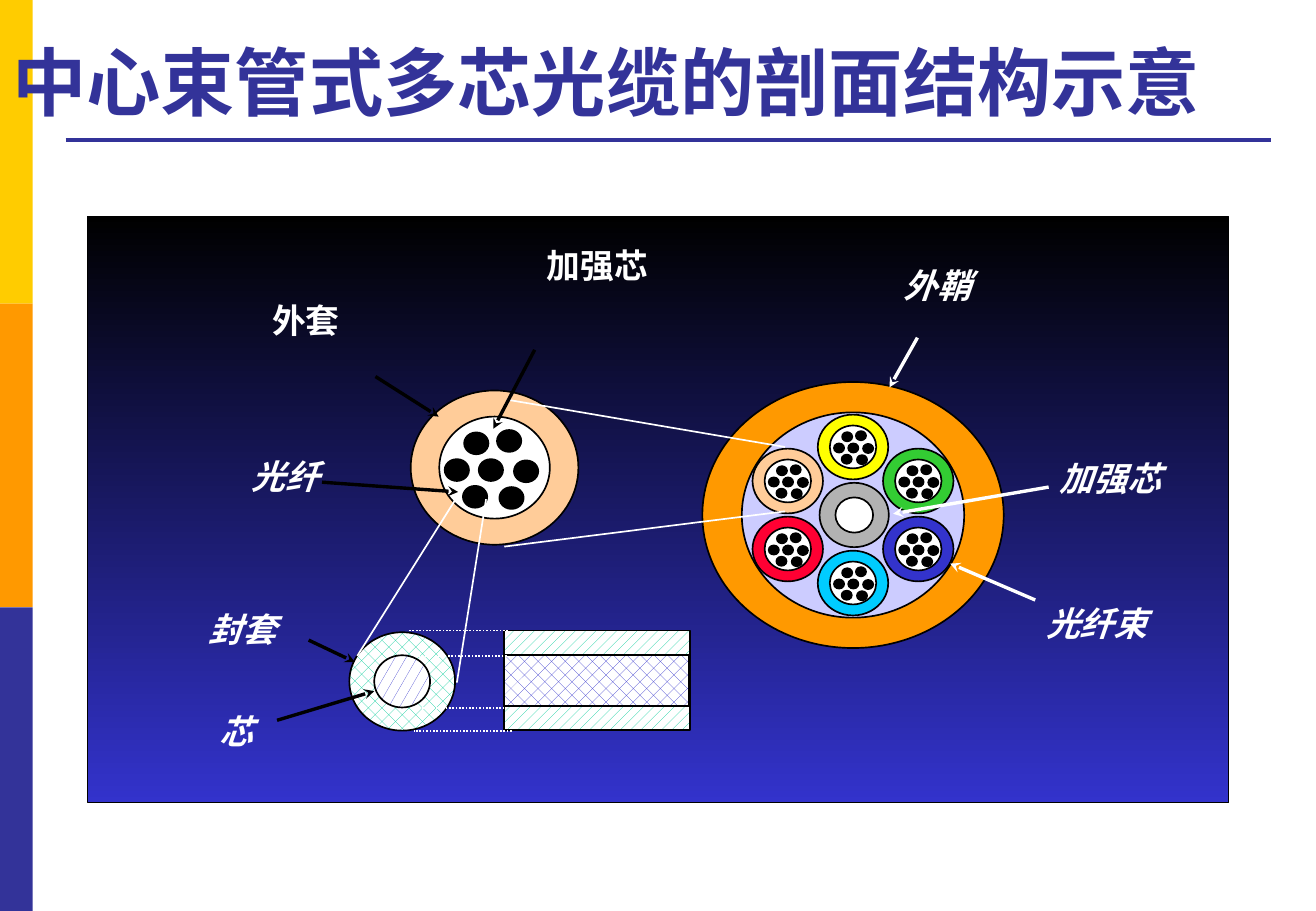
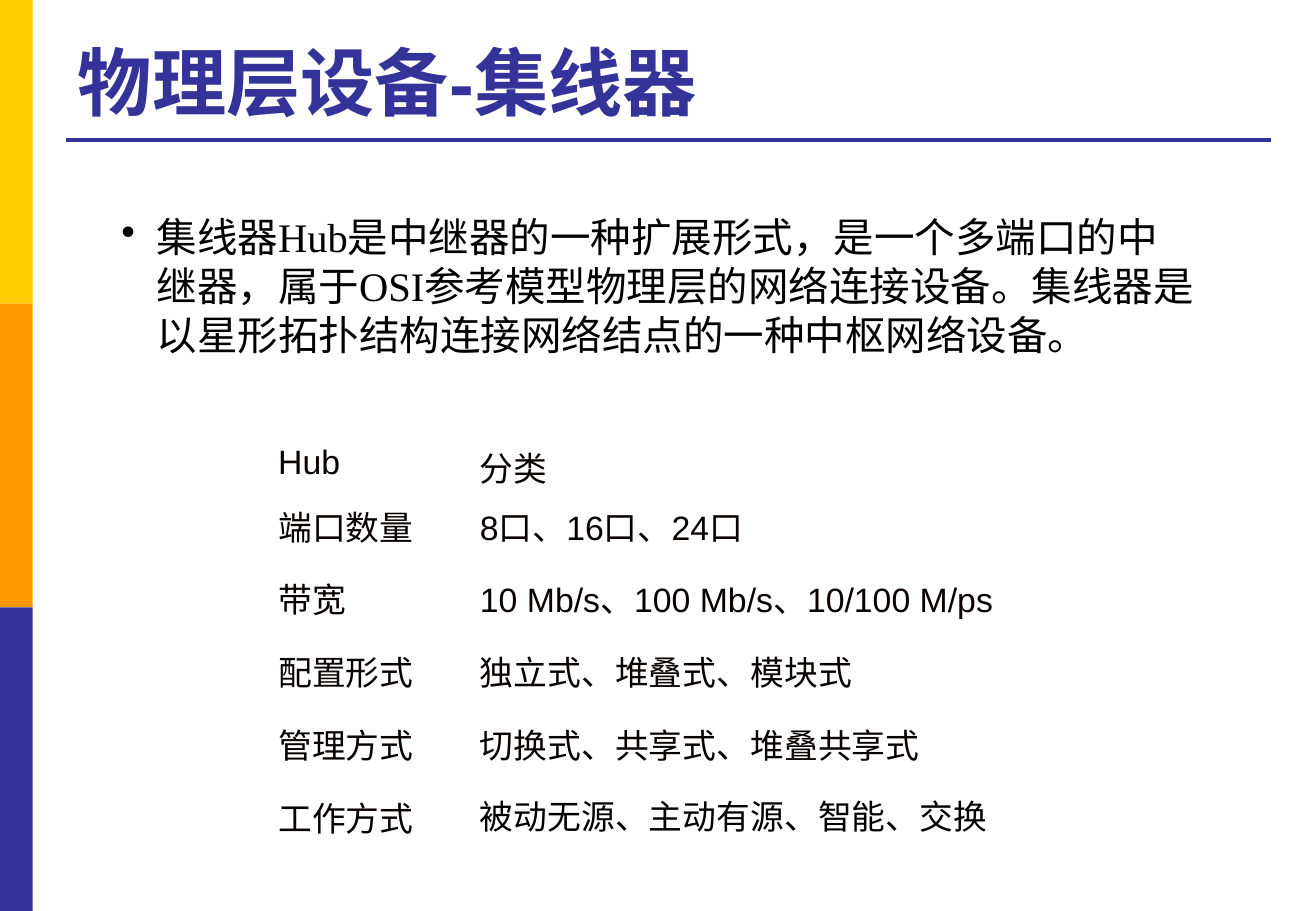
from dataclasses import dataclass
from math import cos, radians, sin
from typing import NamedTuple, Optional

from lxml.etree import SubElement as Sub
from pptx import Presentation
from pptx.dml.color import RGBColor as RGB
from pptx.enum.dml import MSO_LINE as Dash, MSO_PATTERN as Pat
from pptx.enum.shapes import MSO_CONNECTOR as Conn, MSO_SHAPE as Kind
from pptx.enum.text import MSO_ANCHOR as Anchor, MSO_AUTO_SIZE as Fit, PP_ALIGN as Align
from pptx.oxml.ns import qn
from pptx.util import Inches, Pt


@dataclass(frozen=True)
class Theme:
    yellow: str = "FFCC00"
    orange: str = "FF9900"
    navy: str = "333399"
    blue: str = "3333CC"
    green: str = "00CC99"
    peach: str = "FFCC99"
    lilac: str = "CCCCFF"
    gray: str = "B2B2B2"
    black: str = "000000"
    white: str = "FFFFFF"
    ink: str = "080001"
    sans: str = "Arial"
    serif: str = "Times New Roman"
    title: int = 44
    body: int = 24
    label: int = 20


T = Theme()


class Hatch(NamedTuple):
    kind: Pat
    color: str


class Label(NamedTuple):
    text: str
    x: float
    y: float
    slant: bool = True


class Line(NamedTuple):
    x1: float
    y1: float
    x2: float
    y2: float
    color: str = T.white
    width: float = 1
    head: bool = False
    dash: Optional[Dash] = None


@dataclass
class Bundle:
    """Seven fibres in a sheath, placed by its centre."""
    x: float
    y: float
    fill: str
    scale: float = 0.42
    skew: float = 0.015


FIBRES = [(-0.31, 0.02), (-0.03, 0.02), (0.26, 0.03), (-0.15, -0.2),
          (0.12, -0.22), (-0.16, 0.24), (0.14, 0.25)]
RING = [("FFFF00", -90), ("33CC33", -30), (T.blue, 30),
        ("00CCFF", 90), ("FF0033", 150), (T.peach, 210)]

LABELS = [
    Label("芯", 1.71, 5.8), Label("封套", 1.62, 4.96),
    Label("外套", 2.14, 2.42, False), Label("加强芯", 4.4, 1.97, False),
    Label("光纤", 1.97, 3.7), Label("外鞘", 7.34, 2.13),
    Label("加强芯", 8.62, 3.72), Label("光纤束", 8.51, 4.91),
]
# Arrows run from the tip to the label
ARROWS = [
    (3.08, 5.69, 2.28, 5.93, T.black), (2.92, 5.45, 2.54, 5.27, T.black),
    (3.77, 4.05, 2.65, 3.97, T.black), (3.61, 3.43, 3.09, 3.1, T.black),
    (4.06, 3.53, 4.4, 2.88, T.black), (7.82, 4.64, 8.52, 4.94, T.white),
    (7.35, 4.23, 8.63, 4.01, T.white), (7.32, 3.19, 7.55, 2.78, T.white),
]
DOTTED = [(4.18, 5.19, 3.37, 5.19), (4.21, 6.02, 3.41, 6.02),
          (4.17, 5.4, 3.44, 5.4), (4.15, 5.83, 3.42, 5.83)]
ZOOM = [(3.8, 4.03, 2.94, 5.4), (4, 4.11, 3.76, 5.62),
        (4.17, 3.29, 6.46, 3.68), (4.15, 4.5, 6.46, 4.21)]

HUB = ("集线器Hub是中继器的一种扩展形式，是一个多端口的中继器，"
       "属于OSI参考模型物理层的网络连接设备。"
       "集线器是以星形拓扑结构连接网络结点的一种中枢网络设备。")
ROWS = [
    ("Hub", "分类"),
    ("端口数量", "8口、16口、24口"),
    ("带宽", "10 Mb/s、100 Mb/s、10/100 M/ps"),
    ("配置形式", "独立式、堆叠式、模块式"),
    ("管理方式", "切换式、共享式、堆叠共享式"),
    ("工作方式", "被动无源、主动有源、智能、交换"),
]


# Helpers
def style(para, size: int, color: str, face: str = T.sans,
          bold: bool = False, slant: bool = False) -> None:
    for run in para.runs:
        font = run.font
        font.size, font.name = Pt(size), face
        font.bold, font.italic = bold, slant
        font.color.rgb = RGB.from_string(color)


def shape(page, kind: Kind, x: float, y: float, w: float, h: float,
          fill, edge: Optional[float] = 1):
    item = page.shapes.add_shape(kind, Inches(x), Inches(y), Inches(w), Inches(h))
    item.shadow.inherit = False
    if isinstance(fill, Hatch):
        item.fill.patterned()
        item.fill.pattern = fill.kind
        item.fill.fore_color.rgb = RGB.from_string(fill.color)
        item.fill.back_color.rgb = RGB.from_string(T.white)
    else:
        item.fill.solid()
        item.fill.fore_color.rgb = RGB.from_string(fill)
    if edge is None:
        item.line.fill.background()
    else:
        item.line.color.rgb = RGB.from_string(T.black)
        item.line.width = Pt(edge)
    return item


def oval(page, x: float, y: float, w: float, h: float, fill):
    """Ellipse placed by its centre."""
    return shape(page, Kind.OVAL, x - w / 2, y - h / 2, w, h, fill)


def draw(page, spec: Line):
    item = page.shapes.add_connector(
        Conn.STRAIGHT, Inches(spec.x1), Inches(spec.y1), Inches(spec.x2), Inches(spec.y2))
    item.line.color.rgb = RGB.from_string(spec.color)
    item.line.width = Pt(spec.width)
    if spec.dash:
        item.line.dash_style = spec.dash
    props = item.element.spPr
    if spec.head:
        Sub(props.find(qn("a:ln")), qn("a:headEnd"), type="stealth")
    Sub(props, qn("a:effectLst"))
    return item


def textbox(page, x: float, y: float, w: float, h: float, text: str):
    frame = page.shapes.add_textbox(Inches(x), Inches(y), Inches(w), Inches(h)).text_frame
    frame.word_wrap = True
    frame.text = text
    return frame.paragraphs[0]


def bundle(page, spec: Bundle) -> None:
    k = spec.scale
    for w, h, fill in ((1.38, 1.27, spec.fill), (0.91, 0.84, T.white)):
        oval(page, spec.x, spec.y, w * k, h * k, fill)
    for dx, dy in FIBRES:
        oval(page, spec.x + spec.skew + dx * k, spec.y + dy * k, 0.2 * k, 0.18 * k, T.black)


# Shared parts
def frame_up(page, layout) -> None:
    """Draw the side bands and title rule, then hand them to the layout."""
    for item in list(layout.placeholders)[1:]:
        layout.shapes.element.remove(item.element)
    parts = [shape(page, Kind.RECTANGLE, 0, 2.5 * i, 0.27, 2.5, color, None)
             for i, color in enumerate((T.yellow, T.orange, T.navy))]
    parts.append(draw(page, Line(0.54, 1.15, 10.46, 1.15, T.navy, 2.25)))
    for part in parts:
        layout.shapes.element.append(part.element)


def head(page, text: str, left: float) -> None:
    item = page.shapes.title
    item.left, item.top = Inches(left), Inches(0.21)
    item.width, item.height = Inches(10.46 - left), Inches(0.87)
    frame = item.text_frame
    frame.text = text
    frame.auto_size = Fit.NONE
    frame.vertical_anchor = Anchor.BOTTOM
    frame.paragraphs[0].alignment = Align.LEFT
    style(frame.paragraphs[0], T.title, T.navy, bold=True)


# Slide 1: cable section
def cable(page) -> None:
    head(page, "中心束管式多芯光缆的剖面结构示意", 0)
    panel = shape(page, Kind.RECTANGLE, 0.72, 1.78, 9.39, 4.83, T.black, 0.75)
    panel.fill.gradient()
    panel.fill.gradient_angle = 270
    for stop, color, place in zip(panel.fill.gradient_stops, (T.black, T.blue), (0, 1)):
        stop.color.rgb = RGB.from_string(color)
        stop.position = place

    # Single fibre, end and side views
    oval(page, 3.31, 5.61, 0.87, 0.81, Hatch(Pat.PERCENT_25, T.green))
    oval(page, 3.31, 5.61, 0.46, 0.43, Hatch(Pat.SMALL_CONFETTI, T.blue))
    shape(page, Kind.RECTANGLE, 4.15, 5.19, 1.53, 0.82, Hatch(Pat.PERCENT_20, T.green))
    shape(page, Kind.RECTANGLE, 4.15, 5.39, 1.52, 0.42, Hatch(Pat.PERCENT_25, T.blue))

    # Enlarged bundle and whole cable
    bundle(page, Bundle(4.07, 3.85, T.peach, 1, 0))
    oval(page, 7.02, 4.24, 2.48, 2.19, T.orange)
    oval(page, 7.02, 4.24, 1.83, 1.69, T.lilac)
    oval(page, 7.03, 4.24, 0.57, 0.53, T.gray)
    oval(page, 7.03, 4.24, 0.31, 0.29, T.white)
    for fill, angle in RING:
        turn = radians(angle)
        bundle(page, Bundle(7.02 + 0.62 * cos(turn), 4.24 + 0.56 * sin(turn), fill))

    # Lines and labels
    for ends in DOTTED:
        draw(page, Line(*ends, dash=Dash.ROUND_DOT))
    for ends in ZOOM:
        draw(page, Line(*ends))
    for arrow in ARROWS:
        draw(page, Line(*arrow, width=2, head=True))
    for text, x, y, slant in LABELS:
        para = textbox(page, x, y, 0.28 * len(text) + 0.25, 0.44, text)
        style(para, T.label, T.white, bold=True, slant=slant)


# Slide 2: hubs
def hub(page) -> None:
    head(page, "物理层设备-集线器", 0.54)
    para = textbox(page, 0.9, 1.7, 9.04, 1.31, HUB)
    style(para, T.body, T.black, T.serif)
    props = para._p.get_or_add_pPr()
    props.set("marL", str(Inches(0.29)))
    props.set("indent", str(-Inches(0.29)))
    Sub(props, qn("a:buChar"), char="•")

    grid = page.shapes.add_table(
        len(ROWS), 2, Inches(2.18), Inches(3.59), Inches(6.73), Inches(3.43)).table
    grid.first_row = grid.horz_banding = False
    for col, width in zip(grid.columns, (1.66, 5.07)):
        col.width = Inches(width)
    for i, texts in enumerate(ROWS):
        grid.rows[i].height = Inches(0.6 if i else 0.43)
        for j, text in enumerate(texts):
            cell = grid.cell(i, j)
            cell.fill.background()
            cell.vertical_anchor = Anchor.MIDDLE
            cell.margin_left = cell.margin_right = Inches(0.11)
            cell.text_frame.text = text
            style(cell.text_frame.paragraphs[0], T.label, T.ink)
    last = grid.cell(len(ROWS) - 1, 1).text_frame.paragraphs[0]
    last.line_spacing, last.space_before = 0.9, Pt(18)
    style(last, T.label, T.black, T.serif)


def main() -> None:
    deck = Presentation()
    deck.slide_width, deck.slide_height = Inches(10.83), Inches(7.5)
    layout = deck.slide_layouts[5]
    first, second = (deck.slides.add_slide(layout) for _ in range(2))
    frame_up(first, layout)
    cable(first)
    hub(second)
    deck.save("out.pptx")


if __name__ == "__main__":
    main()
